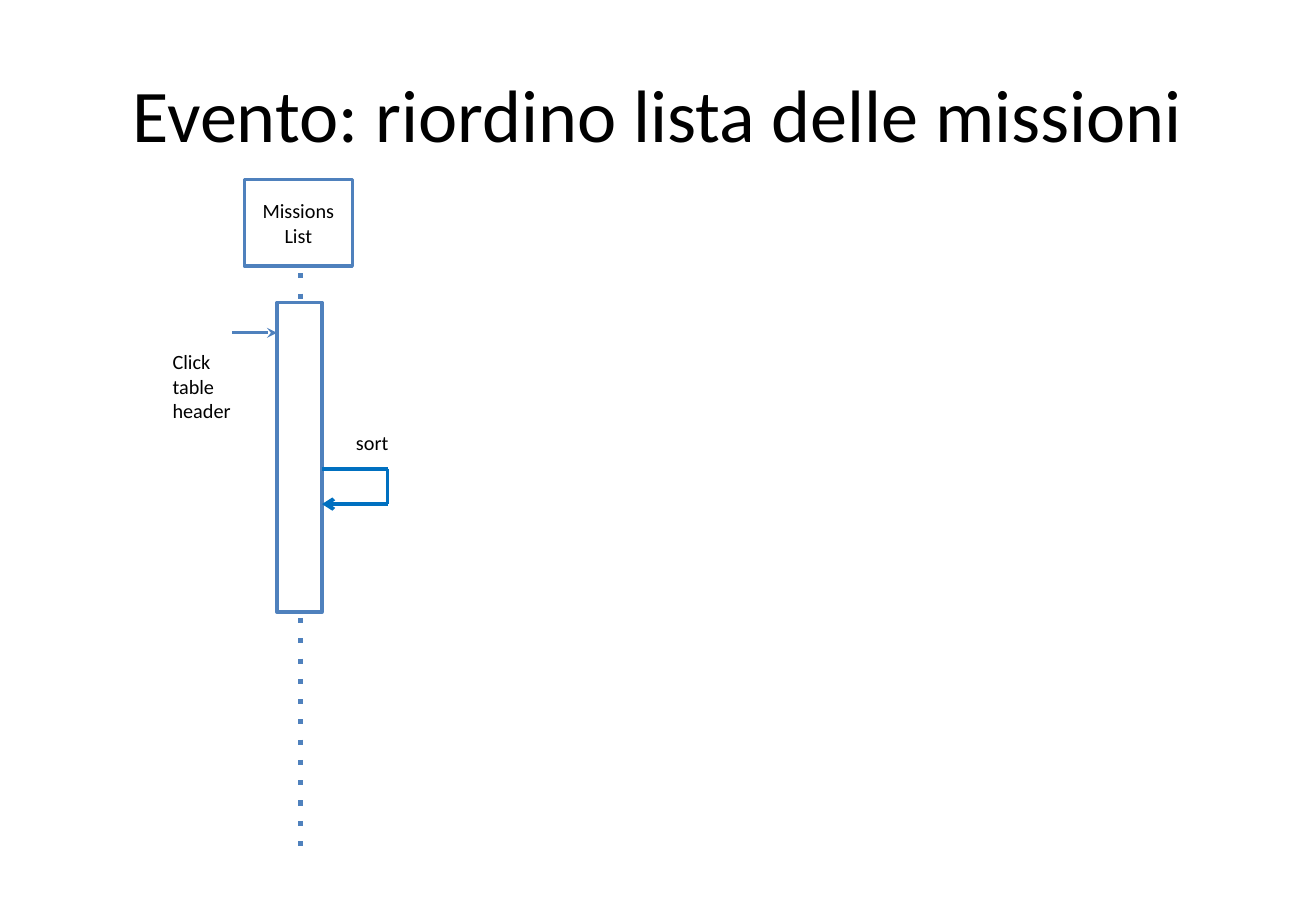
from lxml import etree
from pptx import Presentation
from pptx import util as u
from pptx.dml.color import RGBColor
from pptx.enum import shapes, text
from pptx.oxml.ns import qn

PX = 9144  # 100 px to the inch
SIZE = (1083, 750)
FONT = "Calibri"
HUES = {"ink": "000000", "paper": "FFFFFF", "line": "4F81BD", "loop": "0070C0"}

# words, box (left, top, width, height), format
LABELS = [
    ("Evento: riordino lista delle missioni", (54, 30, 975, 125),
     dict(size=44, center=True, middle=True)),
    ("Click \vtable header", (130, 282, 109, 83), {}),
    ("sort", (281, 348, 70, 42), {}),
]
ACTOR = ("Missions List", (201, 148, 89, 71))
BAR = (228, 249, 37, 255)
LIFE = (247, 225, 709)  # x, top, bottom
CLICK = (191, 274)  # start of the incoming arrow
LOOP = (319, 386, 415)  # right edge, top, bottom


def emu(vals):
    return [u.Emu(v * PX) for v in vals]


def hue(name):
    return RGBColor.from_string(HUES[name])


def write(shape, words, size=12, center=False, middle=False):
    frame = shape.text_frame
    frame.word_wrap = True
    frame.margin_left, frame.margin_right = emu((12, 12))
    frame.margin_top, frame.margin_bottom = emu((6, 6))
    frame.vertical_anchor = text.MSO_ANCHOR.MIDDLE if middle else text.MSO_ANCHOR.TOP
    par = frame.paragraphs[0]
    par.text = words
    par.alignment = text.PP_ALIGN.CENTER if center else text.PP_ALIGN.LEFT
    for run in par.runs:
        run.font.name = FONT
        run.font.size = u.Pt(size)
        run.font.color.rgb = hue("ink")


def box(slide, area):
    shape = slide.shapes.add_shape(shapes.MSO_SHAPE.RECTANGLE, *emu(area))
    shape.shadow.inherit = False
    shape.fill.solid()
    shape.fill.fore_color.rgb = hue("paper")
    shape.line.color.rgb = hue("line")
    shape.line.width = u.Pt(2)
    return shape


def line(slide, start, end, color="line", width=2, dash=None, tip=None):
    link = slide.shapes.add_connector(
        shapes.MSO_CONNECTOR.STRAIGHT, *emu(start + end))
    link.line.color.rgb = hue(color)
    link.line.width = u.Pt(width)
    props = link._element.spPr
    pen = props.find(qn("a:ln"))
    if dash:
        etree.SubElement(pen, qn("a:prstDash"), val=dash)
    if tip:
        etree.SubElement(pen, qn("a:tailEnd"), type=tip)
    etree.SubElement(props, qn("a:effectLst"))


def main():
    deck = Presentation()
    deck.slide_width, deck.slide_height = emu(SIZE)
    slide = deck.slides.add_slide(deck.slide_layouts[6])

    x, top, bottom = LIFE
    line(slide, (x, top), (x, bottom), width=3, dash="dot")
    words, area = ACTOR
    write(box(slide, area), words, center=True, middle=True)
    box(slide, BAR)

    left, right = BAR[0], BAR[0] + BAR[2]
    line(slide, CLICK, (left, CLICK[1]), tip="stealth")

    far, top, bottom = LOOP
    turns = [(right, top), (far, top), (far, bottom), (right, bottom)]
    for start, end, tip in zip(turns, turns[1:], (None, None, "arrow")):
        line(slide, start, end, color="loop", width=2.25, tip=tip)

    for words, area, form in LABELS:
        write(slide.shapes.add_textbox(*emu(area)), words, **form)
    deck.save("out.pptx")


if __name__ == "__main__":
    main()
